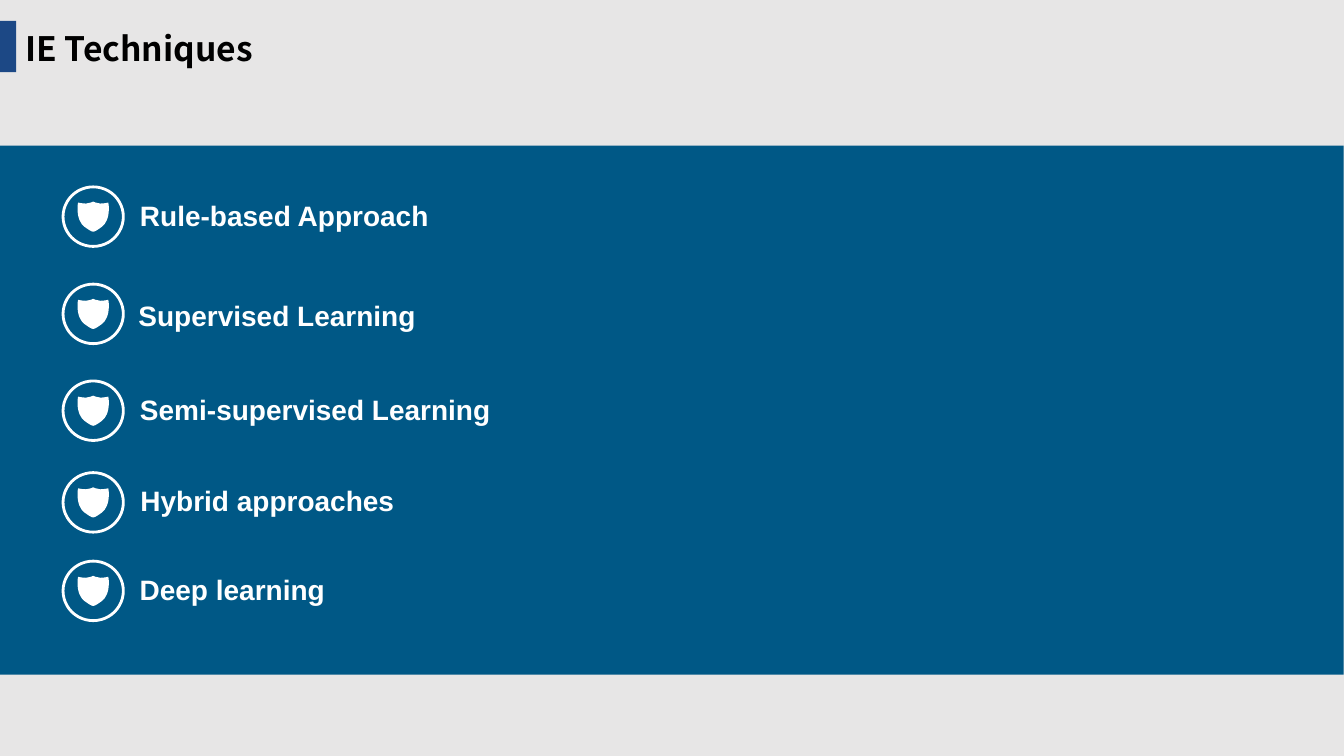
from lxml import etree
from pptx import Presentation
from pptx import util as u
from pptx.dml.color import RGBColor
from pptx.enum import shapes, text
from pptx.oxml.ns import qn

Cm, Pt = u.Cm, u.Pt

BACKGROUND = RGBColor(0xE7, 0xE6, 0xE6)
PANEL_BLUE = RGBColor(0x00, 0x58, 0x86)
ACCENT_BLUE = RGBColor(0x1C, 0x48, 0x85)
WHITE = RGBColor(0xFF, 0xFF, 0xFF)
BLACK = RGBColor(0x00, 0x00, 0x00)

# Technique, top of its badge, left and top of its label (cm)
TECHNIQUES = [
    ("Rule-based Approach", 4.71, 3.53, 5),
    ("Supervised Learning", 7.16, 3.49, 7.53),
    ("Semi-supervised Learning", 9.6, 3.53, 9.88),
    ("Hybrid approaches", 11.91, 3.54, 12.19),
    ("Deep learning", 14.14, 3.52, 14.43),
]
BADGE_LEFT, BADGE_WIDTH, BADGE_HEIGHT = 1.59, 1.52, 1.5

# Right half of the shield from top to tip: a start point, then three
# points for each Bezier curve, in 0.01 mm
SHIELD_HALF = [
    (0, 0),
    (0, 0), (100, 50), (180, 50),
    (280, 50), (380, 25), (380, 25),
    (380, 25), (395, 80), (395, 180),
    (395, 410), (320, 560), (220, 635),
    (140, 690), (50, 760), (0, 760),
]


def add_bar(slide, left, top, width, height, color):
    bar = slide.shapes.add_shape(shapes.MSO_SHAPE.RECTANGLE,
                                 Cm(left), Cm(top), Cm(width), Cm(height))
    bar.shadow.inherit = False
    bar.fill.solid()
    bar.fill.fore_color.rgb = color
    bar.line.fill.background()


def curve_outline(shape):
    """Turn each three line segments of a freeform into one Bezier curve."""
    lines = list(shape.element.iter(qn("a:lnTo")))
    for first, second, third in zip(lines[::3], lines[1::3], lines[2::3]):
        curve = etree.Element(qn("a:cubicBezTo"))
        first.addprevious(curve)
        for line in (first, second, third):
            curve.append(line[0])
            line.getparent().remove(line)


def add_badge(slide, top):
    group = slide.shapes.add_group_shape()

    # Shield: the right half, then its mirror image
    mirrored = [(-x, y) for x, y in reversed(SHIELD_HALF[:-1])]
    builder = group.shapes.build_freeform(0, 0, scale=Cm(0.001))
    builder.add_line_segments(SHIELD_HALF[1:] + mirrored, close=True)
    shield = builder.convert_to_shape(Cm(BADGE_LEFT + BADGE_WIDTH / 2),
                                      Cm(top + 0.37))
    curve_outline(shield)
    shield.shadow.inherit = False
    shield.fill.solid()
    shield.fill.fore_color.rgb = WHITE
    shield.line.fill.background()

    # Ring
    ring = group.shapes.add_shape(shapes.MSO_SHAPE.OVAL, Cm(BADGE_LEFT), Cm(top),
                                  Cm(BADGE_WIDTH), Cm(BADGE_HEIGHT))
    ring.shadow.inherit = False
    ring.fill.background()
    ring.line.color.rgb = WHITE
    ring.line.width = Pt(2)


def format_paragraph(paragraph, font_name, size, color):
    paragraph.alignment = text.PP_ALIGN.LEFT
    font = paragraph.font
    font.name, font.size, font.bold = font_name, Pt(size), True
    font.color.rgb = color


def add_label(slide, label, left, top):
    box = slide.shapes.add_textbox(Cm(left), Cm(top), Cm(23.44), Cm(0.84))
    frame = box.text_frame
    frame.word_wrap = True
    frame.margin_left = frame.margin_right = 0
    frame.margin_top = frame.margin_bottom = 0
    frame.text = label
    format_paragraph(frame.paragraphs[0], "Arial", 20, WHITE)


def set_title(slide, title_text):
    title = slide.shapes.title
    title.left, title.top = Cm(0.39), Cm(0.58)
    title.width, title.height = Cm(6.32), Cm(1.27)
    frame = title.text_frame
    frame.text = title_text
    frame.word_wrap = False
    frame.auto_size = text.MSO_AUTO_SIZE.NONE
    frame.vertical_anchor = text.MSO_ANCHOR.MIDDLE
    format_paragraph(frame.paragraphs[0], "Noto Sans CJK SC", 24, BLACK)


def main():
    presentation = Presentation()
    presentation.slide_width, presentation.slide_height = Cm(33.88), Cm(19.05)
    slide = presentation.slides.add_slide(presentation.slide_layouts[5])
    slide.background.fill.solid()
    slide.background.fill.fore_color.rgb = BACKGROUND

    # Title with its accent bar
    set_title(slide, "IE Techniques")
    add_bar(slide, 0, 0.53, 0.41, 1.29, ACCENT_BLUE)

    # Panel with the list of techniques
    add_bar(slide, 0, 3.67, 33.87, 13.33, PANEL_BLUE)
    for label, badge_top, label_left, label_top in TECHNIQUES:
        add_badge(slide, badge_top)
        add_label(slide, label, label_left, label_top)

    presentation.save("out.pptx")


if __name__ == "__main__":
    main()
